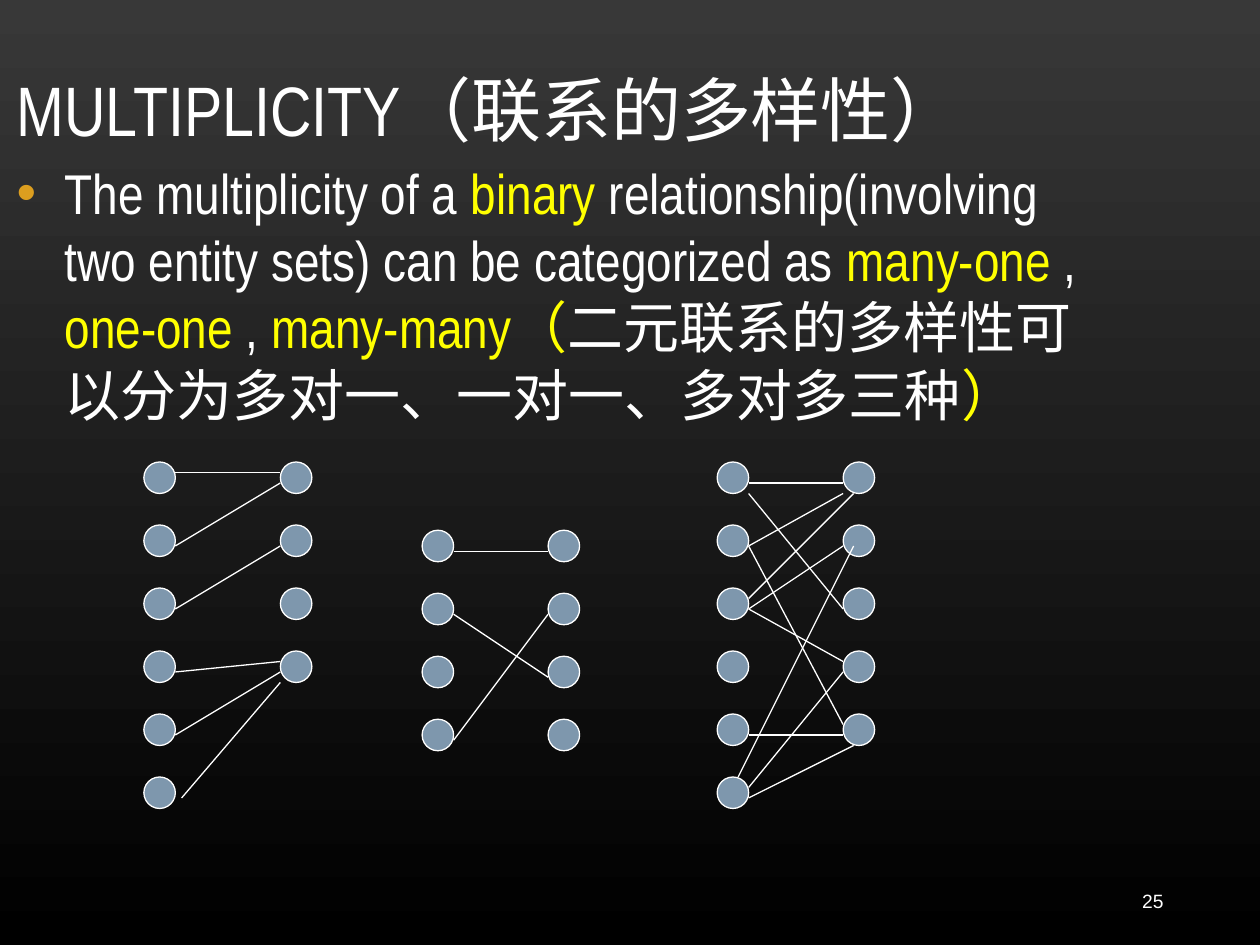
from lxml.etree import SubElement
from pptx import Presentation
from pptx.dml.color import RGBColor
from pptx.enum.shapes import MSO_CONNECTOR, MSO_SHAPE
from pptx.enum.text import MSO_ANCHOR, PP_ALIGN
from pptx.oxml.ns import qn
from pptx.util import Inches, Pt

COLORS = {
    "top": "383838", "bottom": "000000", "text": "FFFFFF",
    "accent": "FFFF00", "bullet": "DC9E1F", "node": "7E97AD",
}
FONT = "Arial Narrow"
DOT, PITCH = 3, 6

TITLE = "MULTIPLICITY（联系的多样性）"
DEFINITION = [
    ("The multiplicity of a ", "text"),
    ("binary", "accent"),
    (" relationship(involving two entity sets) can be categorized as ", "text"),
    ("many-one", "accent"),
    (" , ", "text"),
    ("one-one ", "accent"),
    (", ", "text"),
    ("many-many（", "accent"),
    ("二元联系的多样性可以分为多对一、一对一、多对多三种", "text"),
    ("）", "accent"),
]
MANY_ONE = [(0, 1, 0, 1), (0, 8, 0, 2), (0, 14, 0, 8), (0, 26, 0, 20),
            (0, 20, 0, 19), (0.6, 32, 0, 21)]
ONE_ONE = [(0, 2, 0, 2), (0, 8, 0, 14), (0, 20, 0, 8)]
MANY_MANY = [(0, 3, 0, 14), (0, 2, 0, 2), (0, 8, 0, 3), (0, 13, 1, 3),
             (0, 8, 0, 25), (0, 26, 0, 26), (0, 32, 1, 27), (0, 14, 0, 8),
             (-1, 30, 1, 8), (0, 31, 0, 20), (0, 14, 0, 19)]


def color(name):
    """Return the palette colour of that name."""
    return RGBColor.from_string(COLORS[name])


def grid(*units):
    """Turn grid units, twelve to the inch, into lengths."""
    return [Inches(u / 12) for u in units]


class Deck:
    """Hold the style and the current slide on a 120 by 90 grid."""

    def __init__(self):
        """Open a deck with one title-only slide."""
        self.prs = Presentation()
        self.prs.slide_width, self.prs.slide_height = grid(120, 90)
        self.s = self.prs.slides.add_slide(self.prs.slide_layouts[5])

    def background(self):
        """Shade the slide from top to bottom."""
        fill = self.s.background.fill
        fill.gradient()
        fill.gradient_angle = 270
        for stop, name, place in zip(fill.gradient_stops, ("top", "bottom"), (0, 1)):
            stop.color.rgb = color(name)
            stop.position = place

    def run(self, p, text, size, name="text", font=FONT):
        """Add one styled run."""
        r = p.add_run()
        r.text = text
        r.font.size, r.font.name = Pt(size), font
        r.font.color.rgb = color(name)

    def title(self, text, box):
        """Place and format the title placeholder."""
        sp = self.s.shapes.title
        sp.left, sp.top, sp.width, sp.height = grid(*box)
        tf = sp.text_frame
        tf.vertical_anchor = MSO_ANCHOR.BOTTOM
        p = tf.paragraphs[0]
        p.alignment = PP_ALIGN.LEFT
        self.run(p, text, 40)

    def textbox(self, box, anchor=MSO_ANCHOR.TOP):
        """Add a wrapping text box and return its first paragraph."""
        tf = self.s.shapes.add_textbox(*grid(*box)).text_frame
        tf.word_wrap = True
        tf.vertical_anchor = anchor
        return tf.paragraphs[0]

    def bullet(self, runs, box):
        """Add a bulleted paragraph of coloured runs."""
        p = self.textbox(box)
        pPr = p._p.get_or_add_pPr()
        indent = Inches(0.38)
        pPr.set("marL", str(indent))
        pPr.set("indent", str(-indent))
        clr = SubElement(pPr, qn("a:buClr"))
        SubElement(clr, qn("a:srgbClr"), val=COLORS["bullet"])
        SubElement(pPr, qn("a:buFont"), typeface="Arial")
        SubElement(pPr, qn("a:buChar"), char="•")
        p.space_after = Pt(6)
        for text, name in runs:
            self.run(p, text, 32, name)

    def number(self, text, box):
        """Add the slide number."""
        p = self.textbox(box, MSO_ANCHOR.MIDDLE)
        p.alignment = PP_ALIGN.RIGHT
        self.run(p, text, 11, font="Arial")

    def outline(self, sp):
        """Give a shape or connector the thin line."""
        sp.line.color.rgb = color("text")
        sp.line.width = Pt(0.75)

    def node(self, shapes, x, y):
        """Add one entity dot."""
        sp = shapes.add_shape(MSO_SHAPE.OVAL, *grid(x, y, DOT, DOT))
        sp.shadow.inherit = False
        sp.fill.solid()
        sp.fill.fore_color.rgb = color("node")
        self.outline(sp)

    def link(self, shapes, ends):
        """Add one relationship line."""
        sp = shapes.add_connector(MSO_CONNECTOR.STRAIGHT, *grid(*ends))
        self.outline(sp)
        SubElement(sp._element.spPr, qn("a:effectLst"))

    def mapping(self, x, y, gap, counts, links):
        """Group two columns of dots and the lines between them."""
        shapes = self.s.shapes.add_group_shape().shapes
        for left, count in zip((x, x + gap), counts):
            for row in range(count):
                self.node(shapes, left, y + row * PITCH)
        for dx1, y1, dx2, y2 in links:
            self.link(shapes, (x + DOT + dx1, y + y1, x + gap + dx2, y + y2))


def main():
    """Build and save the slide."""
    deck = Deck()
    deck.background()
    deck.title(TITLE, (0.4, -0.1, 104, 15))
    deck.bullet(DEFINITION, (0.4, 14.5, 104, 54))
    deck.mapping(13.7, 44, 13, (6, 4), MANY_ONE)
    deck.mapping(40.2, 50.5, 12, (4, 4), ONE_ONE)
    deck.mapping(68.3, 44, 12, (6, 5), MANY_MANY)
    deck.number("25", (99, 83.4, 13, 4.8))
    deck.prs.save("out.pptx")


if __name__ == "__main__":
    main()
